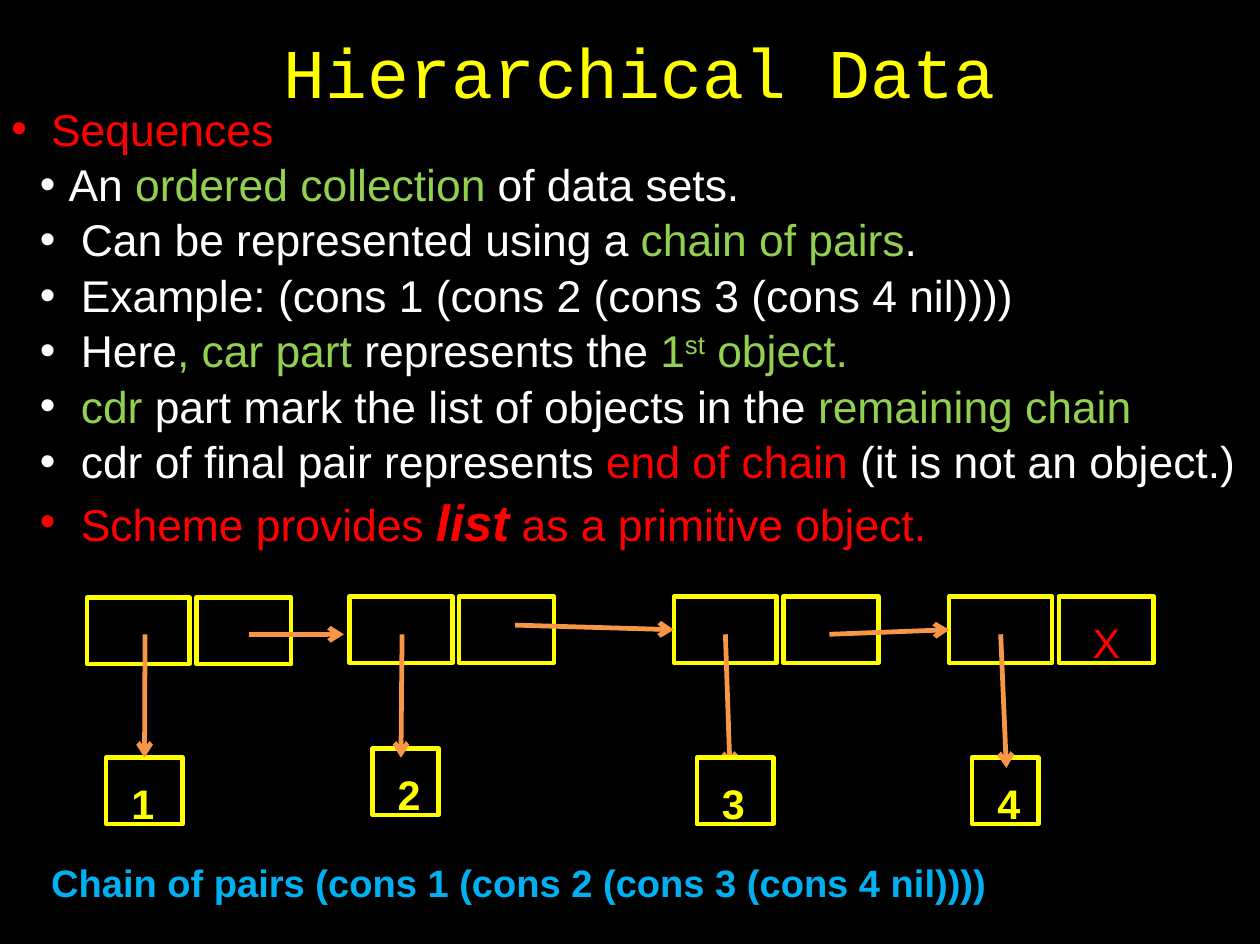
from pptx import Presentation
from pptx.dml.color import RGBColor
from pptx.enum import shapes, text
from pptx.oxml.ns import qn
from pptx.util import Inches, Pt
from lxml import etree

COLORS = {
    "black": "000000", "white": "FFFFFF", "yellow": "FFFF00", "red": "FF0000",
    "green": "92D050", "blue": "00B0F0", "orange": "F79646",
}

# (bullet colour, [(text, colour, style)])
BULLETS = [
    ("red", [(" Sequences", "red", "")]),
    ("white", [("An ", "white", ""), ("ordered collection ", "green", ""),
               ("of data sets.", "white", "")]),
    ("white", [(" Can be represented using a ", "white", ""),
               ("chain of pairs", "green", ""), (".", "white", "")]),
    ("white", [(" Example: (cons 1 (cons 2 (cons 3 (cons 4 nil))))", "white", "")]),
    ("white", [(" Here", "white", ""), (", car part ", "green", ""),
               ("represents the ", "white", ""), ("1", "green", ""),
               ("st", "green", "superscript"), (" object.", "green", "")]),
    ("white", [(" ", "white", ""), ("cdr ", "green", ""),
               ("part mark the list of objects in the ", "white", ""),
               ("remaining chain", "green", "")]),
    ("white", [(" cdr of final pair represents ", "white", ""),
               ("end of chain ", "red", ""), ("(it is not an object.)", "white", "")]),
    ("red", [(" Scheme provides ", "red", ""), ("list", "red", "strong"),
             (" as a primitive object.", "red", "")]),
]

# value, pair left, pair top, value box (left, top, width), car arrow (start x, end x, end y)
PAIRS = [
    ("1", 0.76, 5.23, (0.93, 6.63, 0.67), (1.27, 1.26, 6.63)),
    ("2", 3.06, 5.22, (3.26, 6.55, 0.58), (3.52, 3.51, 6.63)),
    ("3", 5.9, 5.22, (6.1, 6.63, 0.67), (6.35, 6.39, 6.72)),
    ("4", 8.31, 5.22, (8.51, 6.63, 0.58), (8.76, 8.81, 6.72)),
]
# start point and end point of the arrows between neighbouring pairs
CDR_ARROWS = [
    ((2.18, 5.55), (3.01, 5.55)),
    ((4.51, 5.47), (5.9, 5.51)),
    ((7.26, 5.55), (8.31, 5.51)),
]
CAR_WIDTH, CDR_WIDTH, CDR_OFFSET, BOX_HEIGHT = 0.9, 0.83, 0.96, 0.58
ARROW_START_Y = 5.55


def rgb(name):
    return RGBColor.from_string(COLORS[name])


def place(shape, left, top, width, height):
    shape.left, shape.top = Inches(left), Inches(top)
    shape.width, shape.height = Inches(width), Inches(height)


def set_frame(frame, left, top, right=0.0, bottom=0.0):
    frame.word_wrap = True
    frame.auto_size = text.MSO_AUTO_SIZE.NONE
    frame.vertical_anchor = text.MSO_ANCHOR.TOP
    frame.margin_left, frame.margin_top = Inches(left), Inches(top)
    frame.margin_right, frame.margin_bottom = Inches(right), Inches(bottom)


def set_font(font, size, color, name="Arial", bold=False):
    font.name, font.size, font.bold = name, Pt(size), bold
    font.color.rgb = rgb(color)


def add_title(slide):
    title = slide.shapes.title
    place(title, 0.18, 0.15, 10.85, 0.76)
    set_frame(title.text_frame, 0, 0.1)
    paragraph = title.text_frame.paragraphs[0]
    paragraph.text = "Hierarchical Data"
    paragraph.alignment = text.PP_ALIGN.CENTER
    set_font(paragraph.font, 44, "yellow", "Courier New")


def set_bullet(paragraph, color, margin, hang):
    properties = paragraph._p.get_or_add_pPr()
    properties.set("marL", str(Inches(margin)))
    properties.set("indent", str(-Inches(hang)))
    bullet_color = etree.SubElement(properties, qn("a:buClr"))
    etree.SubElement(bullet_color, qn("a:srgbClr"), val=COLORS[color])
    etree.SubElement(properties, qn("a:buFont"), typeface="Arial")
    etree.SubElement(properties, qn("a:buChar"), char="•")


def add_bullets(slide):
    body = slide.placeholders[1]
    place(body, 0, 0.8, 11.03, 4.37)
    frame = body.text_frame
    set_frame(frame, 0.1, 0.07, 0.1, 0.05)
    for index, (bullet_color, runs) in enumerate(BULLETS):
        paragraph = frame.add_paragraph() if index else frame.paragraphs[0]
        paragraph.level = min(index, 1)
        margin, hang = (0.5, 0.25) if index else (0.24, 0.24)
        set_bullet(paragraph, bullet_color, margin, hang)
        paragraph.space_before = Pt(0)
        paragraph.line_spacing = 1.04
        paragraph.font.name, paragraph.font.size = "Arial", Pt(28)
        for words, color, style in runs:
            run = paragraph.add_run()
            run.text = words
            run.font.color.rgb = rgb(color)
            if style == "strong":
                run.font.size = Pt(32)
                run.font.bold = run.font.italic = True
            elif style == "superscript":
                run._r.get_or_add_rPr().set("baseline", "30000")


def add_box(slide, left, top, width, label="", color="yellow", centered=False):
    box = slide.shapes.add_shape(
        shapes.MSO_SHAPE.RECTANGLE,
        Inches(left), Inches(top), Inches(width), Inches(BOX_HEIGHT))
    box.shadow.inherit = False
    box.fill.solid()
    box.fill.fore_color.rgb = rgb("black")
    box.line.color.rgb = rgb("yellow")
    box.line.width = Pt(2.83)
    if label:
        set_frame(box.text_frame, 0 if centered else 0.22, 0.18)
        paragraph = box.text_frame.paragraphs[0]
        paragraph.text = label
        paragraph.alignment = text.PP_ALIGN.CENTER if centered else text.PP_ALIGN.LEFT
        set_font(paragraph.font, 26, color, bold=not centered)
    return box


def add_arrow(slide, start, end):
    arrow = slide.shapes.add_connector(
        shapes.MSO_CONNECTOR.STRAIGHT, *(Inches(value) for value in start + end))
    arrow.line.color.rgb = rgb("orange")
    arrow.line.width = Pt(3)
    etree.SubElement(arrow.line._get_or_add_ln(), qn("a:tailEnd"), type="arrow")
    etree.SubElement(arrow._element.spPr, qn("a:effectLst"))
    return arrow


def add_chain(slide):
    car_cells = []
    for value, left, top, value_box, (start_x, end_x, end_y) in PAIRS:
        # Pair of cells; the last cdr is the end mark
        car_cells.append(add_box(slide, left, top, CAR_WIDTH))
        end_mark = "X" if value == PAIRS[-1][0] else ""
        add_box(slide, left + CDR_OFFSET, top, CDR_WIDTH, end_mark, "red", True)

        # Value and the arrow to it; the head at 3 lies behind its box
        ends = (start_x, ARROW_START_Y), (end_x, end_y)
        if value == "3":
            add_arrow(slide, *ends)
        box = add_box(slide, *value_box, value)
        if value != "3":
            arrow = add_arrow(slide, *ends)
            if value == "1":
                arrow.end_connect(box, 0)

    # Links between the pairs; the first stops short of its cell
    for index, (start, end) in enumerate(CDR_ARROWS):
        arrow = add_arrow(slide, start, end)
        if index:
            arrow.end_connect(car_cells[index + 1], 1)


def add_caption(slide):
    caption = slide.shapes.add_textbox(
        Inches(0.35), Inches(7.46), Inches(10.33), Inches(0.5))
    set_frame(caption.text_frame, 0.1, 0.06, 0.1, 0.05)
    paragraph = caption.text_frame.paragraphs[0]
    paragraph.text = "Chain of pairs (cons 1 (cons 2 (cons 3 (cons 4 nil))))"
    set_font(paragraph.font, 24, "blue", bold=True)


def main():
    presentation = Presentation()
    presentation.slide_width, presentation.slide_height = Inches(11.03), Inches(8.26)
    slide = presentation.slides.add_slide(presentation.slide_layouts[1])
    slide.background.fill.solid()
    slide.background.fill.fore_color.rgb = rgb("black")
    add_title(slide)
    add_bullets(slide)
    add_chain(slide)
    add_caption(slide)
    presentation.save("out.pptx")


if __name__ == "__main__":
    main()
